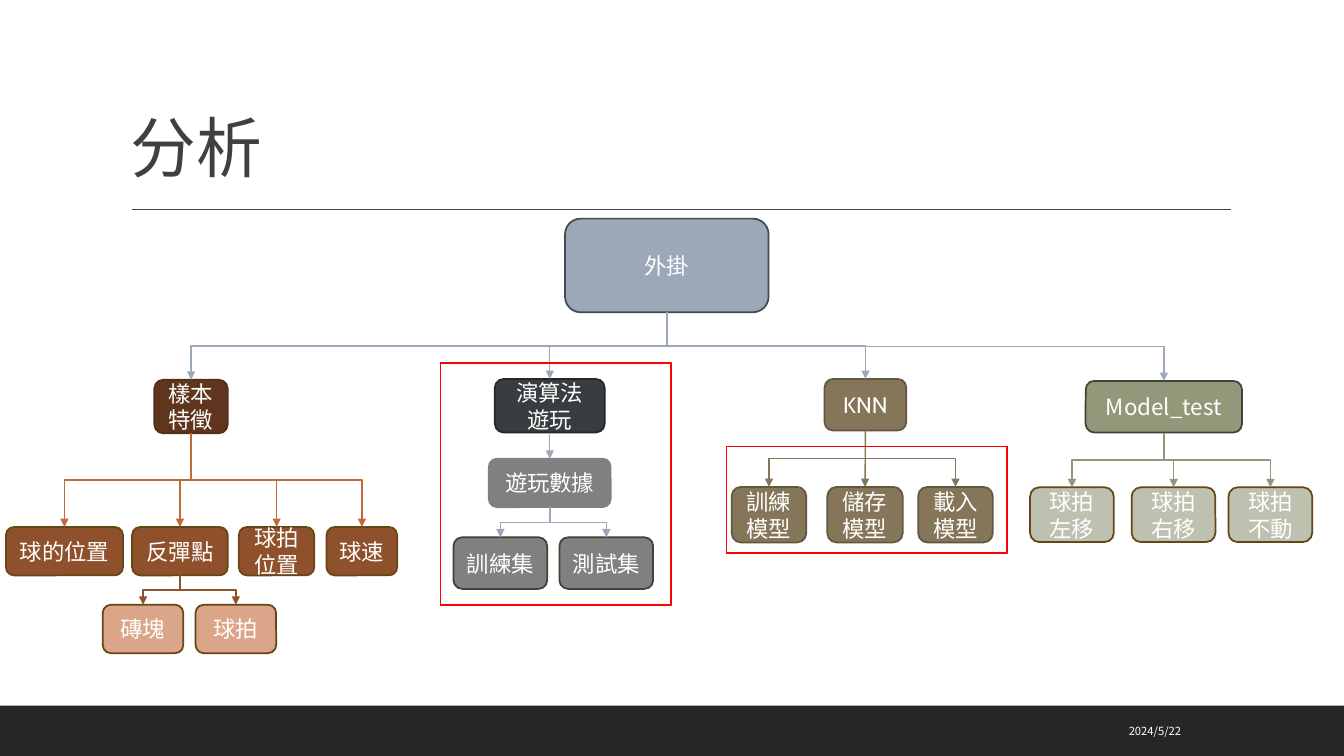
from pptx import Presentation
from pptx.dml.color import RGBColor
from pptx.enum.shapes import MSO_CONNECTOR as Wire, MSO_SHAPE as Form
from pptx.enum.text import MSO_ANCHOR as Anchor, PP_ALIGN as Align
from pptx.oxml.ns import qn
from pptx.util import Cm, Pt
from lxml.etree import SubElement as Sub

SANS = "Noto Sans CJK SC"
STEEL, RUST, BROWN = "9BA8B7", "BF6A3B", "8F502C"
TAN, SAGE, GREY, RED = "857659", "92987A", "808080", "FF0000"
GOLD, MOSS, DARK = "654614", "404335", "262626"


def color(code):
    return RGBColor.from_string(code)


class Chart:
    def __init__(self, slide):
        self.shapes = slide.shapes
        self.size = 16
        self.edge = 1.25
        self.thin = 1

    def label(self, frame, text, size, tint, font, align, anchor):
        frame.word_wrap = True
        frame.vertical_anchor = anchor
        for i, part in enumerate(text.split("\n")):
            para = frame.paragraphs[0] if i == 0 else frame.add_paragraph()
            para.alignment = align
            run = para.add_run()
            run.text = part
            run.font.size = Pt(size)
            run.font.color.rgb = color(tint)
            run.font.name = font
            Sub(run.font._element, qn("a:ea"), typeface=font)

    def text(self, place, text, size, tint, font, align, anchor):
        box = self.shapes.add_textbox(*map(Cm, place))
        self.label(box.text_frame, text, size, tint, font, align, anchor)
        return box.text_frame.paragraphs[0]

    def shape(self, form, place, fill, line=None):
        item = self.shapes.add_shape(form, *map(Cm, place))
        item.shadow.inherit = False
        item.fill.solid()
        item.fill.fore_color.rgb = color(fill)
        if line:
            item.line.color.rgb = color(line)
            item.line.width = Pt(self.edge)
        else:
            item.line.fill.background()
        return item

    def node(self, place, text, fill, line, font=SANS):
        item = self.shape(Form.ROUNDED_RECTANGLE, place, fill, line)
        self.label(item.text_frame, text, self.size, "FFFFFF", font,
                   Align.CENTER, Anchor.MIDDLE)
        return item

    def row(self, top, high, cells, fill, line, font=SANS):
        return [self.node((left, top, wide, high), text, fill, line, font)
                for left, wide, text in cells]

    def frame(self, place):
        self.shape(Form.FRAME, place, RED, RED).adjustments[0] = 0

    def wire(self, kind, ends, tint):
        item = self.shapes.add_connector(kind, *ends)
        item.line.color.rgb = color(tint)
        item.line.width = Pt(self.thin)
        Sub(item._element.spPr, qn("a:effectLst"))
        return item

    def link(self, top, low, tint):
        x, y = top.left + top.width // 2, top.top + top.height
        end, drop = low.left + low.width // 2, low.top - y
        span = abs(end - x)
        bent = span > Cm(0.1)
        kind = Wire.ELBOW if bent else Wire.STRAIGHT
        item = self.wire(kind, (x, y, end, low.top), tint)
        item.begin_connect(top, 2)
        item.end_connect(low, 0)
        props = item._element.spPr
        Sub(props.find(qn("a:ln")), qn("a:tailEnd"), type="triangle")
        if bent:
            item.left = (x + end - drop) // 2
            item.top = y + (drop - span) // 2
            item.width, item.height = drop, span
            turn = props.find(qn("a:xfrm"))
            turn.set("rot", "16200000" if end > x else "5400000")
            turn.set("flipH", "1" if end > x else "0")

    def fan(self, top, lows, tint):
        for low in lows:
            self.link(top, low, tint)


def main():
    deck = Presentation()
    deck.slide_width, deck.slide_height = Cm(33.87), Cm(19.05)
    art = Chart(deck.slides.add_slide(deck.slide_layouts[6]))

    art.shape(Form.RECTANGLE, (0, 17.78, 33.87, 1.27), DARK)
    art.wire(Wire.STRAIGHT, map(Cm, (3.33, 5.28, 31.01, 5.28)), "404040")
    art.text((22.83, 17.91, 7.19, 1.02), "2024/5/22", 8, "FFFFFF",
             "Noto Sans CJK TC", Align.RIGHT, Anchor.MIDDLE)
    title = art.text((3.05, 0.79, 27.94, 4.04), "分析", 47, "404040",
                     SANS, Align.LEFT, Anchor.BOTTOM)
    title.line_spacing = 0.9
    title.runs[0].font._element.set("spc", "-50")

    root = art.node((14.24, 5.51, 5.13, 2.36), "外掛", STEEL, "444A50")
    traits = art.node((3.89, 9.57, 1.85, 1.35), "樣本\n特徵", "60351D", "542E1A")
    play = art.node((12.47, 9.55, 2.77, 1.35), "演算法遊玩", "383E40", DARK)
    model = art.node((20.78, 9.55, 2.06, 1.3), "KNN", TAN, "625742", "Cabin")
    test = art.node((27.36, 9.6, 3.94, 1.3), "Model_test", SAGE, MOSS)
    art.fan(root, (traits, test, model, play), STEEL)

    parts = art.row(13.28, 1.22, (
        (0.15, 2.95, "球的位置"), (3.33, 2.41, "反彈點"),
        (6.02, 1.9, "球拍\n位置"), (8.23, 1.78, "球速")), BROWN, GOLD)
    art.fan(traits, parts, RUST)
    hits = art.row(15.24, 1.22, (
        (2.59, 2.03, "磚塊"), (4.93, 2.03, "球拍")), "DAA588", GOLD)
    art.fan(parts[1], hits, BROWN)

    data = art.node((12.32, 11.56, 3.07, 1.22), "遊玩數據", GREY, GREY)
    art.link(play, data, STEEL)
    sets = art.row(13.54, 1.3, (
        (11.43, 2.36, "訓練集"), (14.1, 2.36, "測試集")), GREY, MOSS)
    art.fan(data, sets, STEEL)

    steps = art.row(12.27, 1.4, (
        (18.44, 1.88, "訓練\n模型"), (20.85, 1.9, "儲存\n模型"),
        (23.14, 1.88, "載入\n模型")), TAN, "625742", "Cabin")
    art.fan(model, steps, TAN)

    moves = art.row(12.28, 1.38, (
        (25.96, 2.11, "球拍\n左移"), (28.52, 2.11, "球拍\n右移"),
        (30.96, 2.11, "球拍\n不動")), "BEC1AF", GOLD)
    art.fan(test, moves, SAGE)

    art.frame((18.31, 11.25, 7.06, 2.69))
    art.frame((11.1, 9.14, 5.82, 6.1))
    deck.save("out.pptx")


if __name__ == "__main__":
    main()
